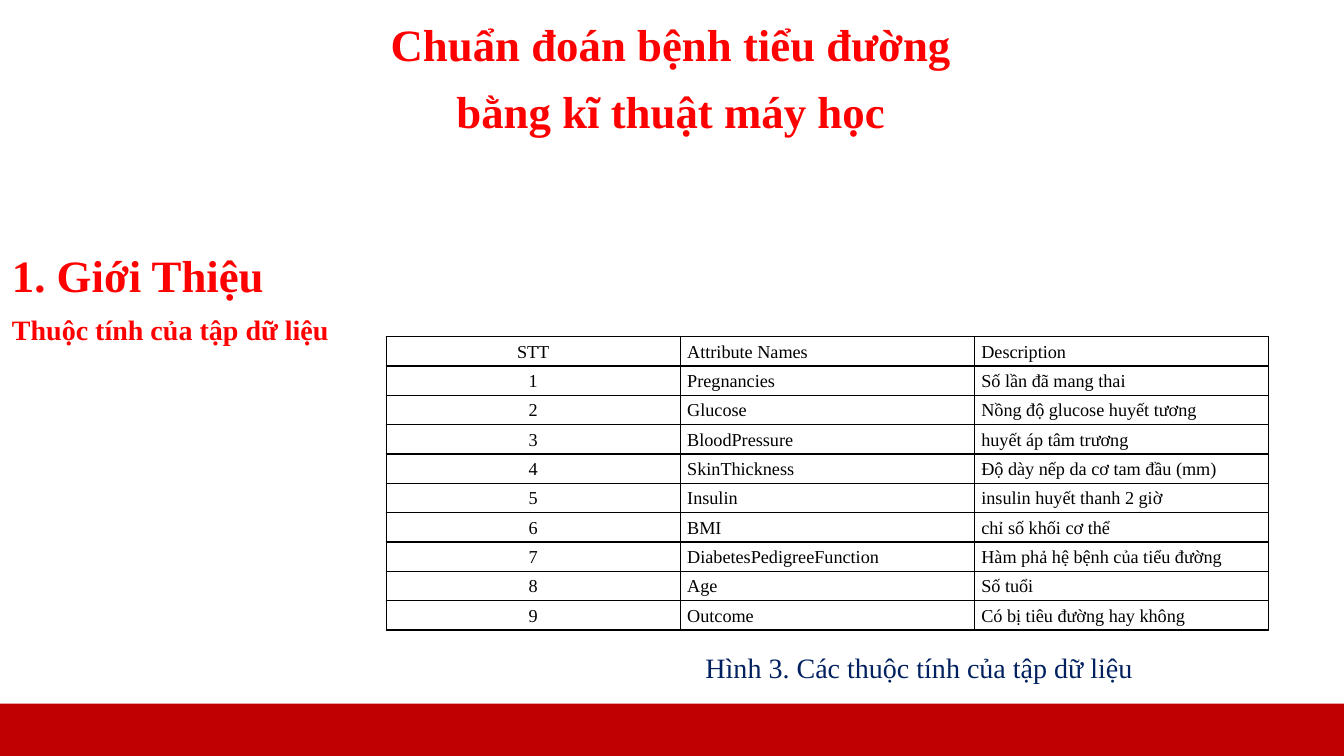
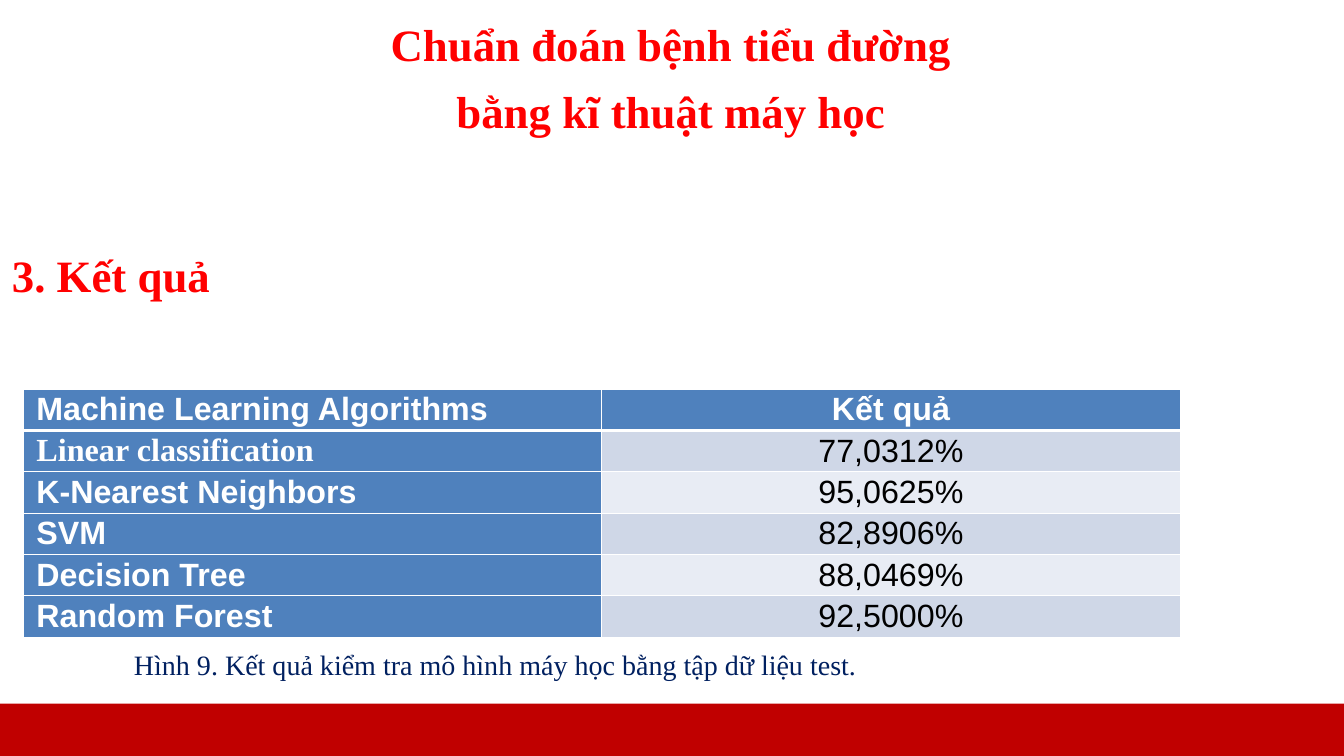
from dataclasses import dataclass

from lxml.etree import SubElement
from pptx import Presentation
from pptx.dml.color import RGBColor
from pptx.enum.shapes import MSO_SHAPE
from pptx.enum.text import MSO_ANCHOR, MSO_AUTO_SIZE, PP_ALIGN
from pptx.oxml.ns import qn
from pptx.slide import Slide
from pptx.table import _Cell
from pptx.text.text import TextFrame, _Paragraph
from pptx.util import Emu, Inches, Pt

COLORS = {
    "band": "C00000",
    "heading": "FF0000",
    "caption": "002060",
    "ink": "000000",
    "paper": "FFFFFF",
    "header": "4F81BD",
    "odd_row": "CFD7E7",
    "even_row": "E8ECF4",
}
SERIF, SANS = "Times New Roman", "Arial"
WIDTH, HEIGHT = Inches(13.33), Inches(7.5)


@dataclass(frozen=True)
class Area:
    """Left, top, width and height in percent of the slide."""
    left: float
    top: float
    width: float
    height: float

    def emu(self) -> tuple[Emu, Emu, Emu, Emu]:
        return (Emu(round(self.left * WIDTH / 100)), Emu(round(self.top * HEIGHT / 100)),
                Emu(round(self.width * WIDTH / 100)), Emu(round(self.height * HEIGHT / 100)))


@dataclass(frozen=True)
class Style:
    size: float
    color: str
    font: str = SERIF
    bold: bool = False


@dataclass(frozen=True)
class Label:
    text: str
    area: Area
    style: Style


@dataclass(frozen=True)
class CellLook:
    style: Style
    align: PP_ALIGN
    margin: float
    anchor: MSO_ANCHOR
    border: str
    fill: str | None = None
    bottom_width: float = 1


# Shared styles and places
HEADING = Style(32, "heading", bold=True)
SUBHEADING = Style(20, "heading", bold=True)
CAPTION = Style(20, "caption")
BAND_AREA = Area(0, 93.07, 100, 7.33)
TITLE_AREA = Area(-0.15, 1.6, 100.13, 17.6)
SECTION_AREA = Area(0.15, 32.13, 100.13, 8.53)
TITLE_LINES = ("Chuẩn đoán bệnh tiểu đường", "bằng kĩ thuật máy học")

# Slide contents
ATTRIBUTES = [
    ("STT", "Attribute Names", "Description"),
    ("1", "Pregnancies", "Số lần đã mang thai"),
    ("2", "Glucose", "Nồng độ glucose huyết tương"),
    ("3", "BloodPressure", "huyết áp tâm trương"),
    ("4", "SkinThickness", "Độ dày nếp da cơ tam đầu (mm)"),
    ("5", "Insulin", "insulin huyết thanh 2 giờ"),
    ("6", "BMI", "chỉ số khối cơ thể"),
    ("7", "DiabetesPedigreeFunction", "Hàm phả hệ bệnh của tiểu đường"),
    ("8", "Age", "Số tuổi"),
    ("9", "Outcome", "Có bị tiêu đường hay không"),
]
RESULTS = [
    ("Machine Learning Algorithms", "Kết quả"),
    ("Linear classification", "77,0312%"),
    ("K-Nearest Neighbors", "95,0625%"),
    ("SVM", "82,8906%"),
    ("Decision Tree", "88,0469%"),
    ("Random Forest", "92,5000%"),
]
INTRO_LABELS = [
    Label("1. Giới Thiệu", SECTION_AREA, HEADING),
    Label("Thuộc tính của tập dữ liệu", Area(0.15, 40.67, 100.13, 5.87), SUBHEADING),
    Label("Hình 3. Các thuộc tính của tập dữ liệu", Area(51.75, 85.33, 39.9, 5.87), CAPTION),
]
RESULT_LABELS = [
    Label("3. Kết quả", SECTION_AREA, HEADING),
    Label("Hình 9. Kết quả kiểm tra mô hình máy học bằng tập dữ liệu test.",
          Area(9.23, 84.93, 60.08, 5.87), CAPTION),
]


def rgb(name: str) -> RGBColor:
    return RGBColor.from_string(COLORS[name])


def add_run(paragraph: _Paragraph, text: str, style: Style) -> None:
    run = paragraph.add_run()
    run.text = text
    run.font.name = style.font
    run.font.size = Pt(style.size)
    run.font.bold = style.bold
    run.font.color.rgb = rgb(style.color)


def prepare_frame(frame: TextFrame) -> None:
    frame.word_wrap = True
    frame.auto_size = MSO_AUTO_SIZE.SHAPE_TO_FIT_TEXT
    frame.vertical_anchor = MSO_ANCHOR.TOP
    frame.margin_left = frame.margin_right = Inches(0.1)
    frame.margin_top = frame.margin_bottom = Inches(0.05)


def add_label(slide: Slide, label: Label) -> None:
    frame = slide.shapes.add_textbox(*label.area.emu()).text_frame
    prepare_frame(frame)
    add_run(frame.paragraphs[0], label.text, label.style)


def start_slide(deck: Presentation, labels: list[Label]) -> Slide:
    slide = deck.slides.add_slide(deck.slide_layouts.get_by_name("Title Only"))

    # Bottom band
    band = slide.shapes.add_shape(MSO_SHAPE.RECTANGLE, *BAND_AREA.emu())
    band.shadow.inherit = False
    band.fill.solid()
    band.fill.fore_color.rgb = rgb("band")
    band.line.fill.background()

    # Two-line title
    title = slide.shapes.title
    title.left, title.top, title.width, title.height = TITLE_AREA.emu()
    frame = title.text_frame
    prepare_frame(frame)
    for index, line in enumerate(TITLE_LINES):
        paragraph = frame.add_paragraph() if index else frame.paragraphs[0]
        paragraph.alignment = PP_ALIGN.CENTER
        paragraph.space_before = Pt(9 * index)
        add_run(paragraph, line, HEADING)

    for label in labels:
        add_label(slide, label)
    return slide


def set_borders(cell: _Cell, color: str, bottom_width: float) -> None:
    properties = cell._tc.get_or_add_tcPr()
    for side in ("L", "R", "T", "B"):
        points = bottom_width if side == "B" else 1
        edge = SubElement(properties, qn(f"a:ln{side}"), w=str(Pt(points)))
        SubElement(SubElement(edge, qn("a:solidFill")), qn("a:srgbClr"), val=COLORS[color])


def fill_cell(cell: _Cell, text: str, look: CellLook) -> None:
    set_borders(cell, look.border, look.bottom_width)
    if look.fill:
        cell.fill.solid()
        cell.fill.fore_color.rgb = rgb(look.fill)
    else:
        cell.fill.background()
    cell.margin_left = cell.margin_right = Inches(look.margin)
    cell.margin_top = cell.margin_bottom = 0
    cell.vertical_anchor = look.anchor
    paragraph = cell.text_frame.paragraphs[0]
    paragraph.alignment = look.align
    paragraph.line_spacing = 1.07
    add_run(paragraph, text, look.style)


def attribute_look(row: int, column: int) -> CellLook:
    align = PP_ALIGN.LEFT if column else PP_ALIGN.CENTER
    return CellLook(Style(13, "ink"), align, 0.07, MSO_ANCHOR.MIDDLE, "ink")


def result_look(row: int, column: int) -> CellLook:
    heading = row == 0 or column == 0
    font = SERIF if (row, column) == (1, 0) else SANS
    stripe = "odd_row" if row % 2 else "even_row"
    return CellLook(
        Style(23, "paper" if heading else "ink", font, heading),
        PP_ALIGN.CENTER if column else PP_ALIGN.LEFT,
        0.13, MSO_ANCHOR.TOP, "paper",
        "header" if heading else stripe,
        1 if row else 3,
    )


def add_grid(slide: Slide, rows: list[tuple[str, ...]], area: Area, look_of) -> None:
    table = slide.shapes.add_table(len(rows), len(rows[0]), *area.emu()).table
    table.first_row = table.horz_banding = False
    for row, texts in enumerate(rows):
        for column, text in enumerate(texts):
            fill_cell(table.cell(row, column), text, look_of(row, column))


deck = Presentation()
deck.slide_width, deck.slide_height = WIDTH, HEIGHT

# Slide 1: data set attributes
intro = start_slide(deck, INTRO_LABELS)
add_grid(intro, ATTRIBUTES, Area(28.73, 44.53, 65.65, 38.8), attribute_look)

# Slide 2: model results
results = start_slide(deck, RESULT_LABELS)
add_grid(results, RESULTS, Area(1.73, 51.47, 86.1, 31.2), result_look)

deck.save("out.pptx")
